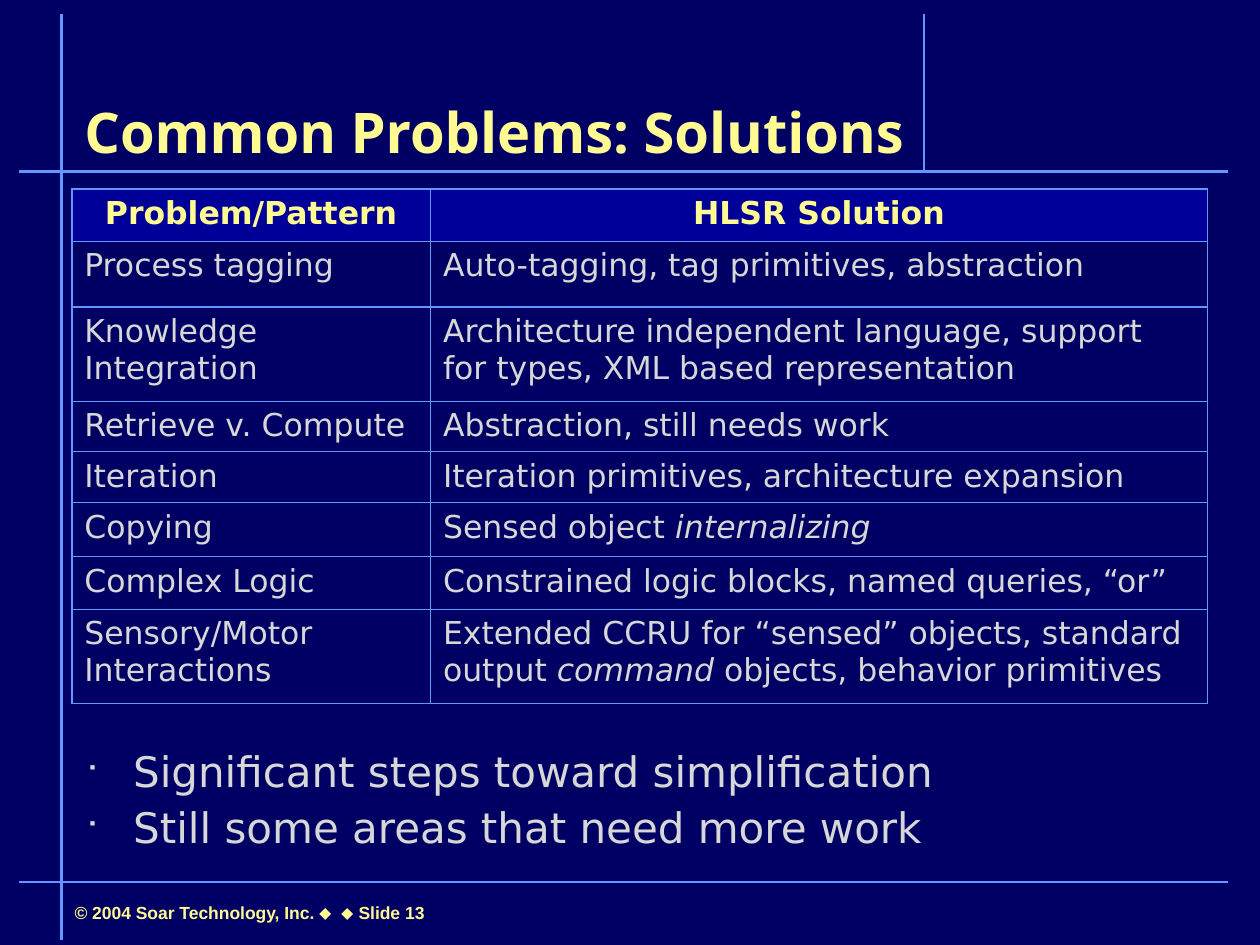
"""Build the slide on common problems and their solutions."""
from lxml import etree
from pptx import Presentation
from pptx import util as u
from pptx.dml.color import RGBColor
from pptx.enum import shapes, text
from pptx.oxml import parse_xml
from pptx.oxml.ns import nsdecls, qn

COLORS = {"back": "000064", "header": "000099", "line": "6496FF",
          "title": "FFFA91", "footer": "FEF992", "body": "D7D7D7"}
TITLE = "Common Problems: Solutions"
FOOTER = "© 2004 Soar Technology, Inc. ⬥  ⬥ Slide 13"
HEADER = ("Problem/Pattern", "HLSR Solution")
# Asterisks mark italic words.
ROWS = [
    ("Process tagging", "Auto-tagging, tag primitives, abstraction"),
    ("Knowledge Integration",
     "Architecture independent language, support for types, XML based representation"),
    ("Retrieve v. Compute", "Abstraction, still needs work"),
    ("Iteration", "Iteration primitives, architecture expansion"),
    ("Copying", "Sensed object *internalizing*"),
    ("Complex Logic", "Constrained logic blocks, named queries, “or”"),
    ("Sensory/Motor Interactions",
     "Extended CCRU for “sensed” objects, standard output *command* objects, "
     "behavior primitives"),
]
BULLETS = ["Significant steps toward simplification",
           "Still some areas that need more work"]
COL_WIDTHS = (205, 444)
ROW_HEIGHTS = (30, 37.5, 53.75, 29, 29, 31, 30, 53.75)
LEFT, RIGHT, TOP, BOTTOM = 11, 701.5, 8, 537
RULE_X, RULE_Y, CORNER_X, FOOT_Y = 35, 98, 528, 504
RULES = [(RULE_X, TOP, RULE_X, BOTTOM), (RIGHT, RULE_Y, LEFT, RULE_Y),
         (RIGHT, FOOT_Y, LEFT, FOOT_Y), (CORNER_X, TOP, CORNER_X, RULE_Y)]


def rgb(name):
    return RGBColor.from_string(COLORS[name])


def write(p, content, size, color="body", font="DejaVu Sans", bold=False,
          align=text.PP_ALIGN.LEFT):
    p.alignment = align
    for i, part in enumerate(content.split("*")):
        if part:
            r = p.add_run()
            r.text = part
            r.font.size, r.font.name = u.Pt(size), font
            r.font.bold, r.font.italic = bold, i % 2 == 1
            r.font.color.rgb = rgb(color)


def add_box(s, x, y, w, h):
    tf = s.shapes.add_textbox(*map(u.Pt, (x, y, w, h))).text_frame
    tf.word_wrap = True
    return tf


def add_rule(s, *ends):
    line = s.shapes.add_connector(shapes.MSO_CONNECTOR.STRAIGHT, *map(u.Pt, ends))
    line.line.color.rgb, line.line.width = rgb("line"), u.Pt(1.5)
    etree.SubElement(line._element.spPr, qn("a:effectLst"))


def add_borders(cell, widths):
    tc_pr = cell._tc.get_or_add_tcPr()
    for i, (side, width) in enumerate(zip("LRTB", widths)):
        tc_pr.insert(i, parse_xml(
            f'<a:ln{side} {nsdecls("a")} w="{u.Pt(width)}"><a:solidFill>'
            f'<a:srgbClr val="{COLORS["line"]}"/></a:solidFill></a:ln{side}>'))


def add_bullet(p):
    p_pr = p._p.get_or_add_pPr()
    p_pr.set("marL", str(u.Pt(27)))
    p_pr.set("indent", str(-u.Pt(27)))
    for xml in (f'<a:buClr {nsdecls("a")}><a:srgbClr val="{COLORS["body"]}"/></a:buClr>',
                f'<a:buSzPct {nsdecls("a")} val="70000"/>',
                f'<a:buFont {nsdecls("a")} typeface="Wingdings"/>',
                f'<a:buChar {nsdecls("a")} char="■"/>'):
        p_pr.append(parse_xml(xml))


def add_solutions(s):
    data = [HEADER] + ROWS
    table = s.shapes.add_table(
        len(data), len(HEADER), u.Pt(41), u.Pt(108),
        u.Pt(sum(COL_WIDTHS)), u.Pt(sum(ROW_HEIGHTS))).table
    for col, width in zip(table.columns, COL_WIDTHS):
        col.width = u.Pt(width)
    for i, (row, height) in enumerate(zip(data, ROW_HEIGHTS)):
        table.rows[i].height = u.Pt(height)
        for j, content in enumerate(row):
            cell = table.cell(i, j)
            p = cell.text_frame.paragraphs[0]
            if i == 0:
                cell.fill.solid()
                cell.fill.fore_color.rgb = rgb("header")
                write(p, content, 18, "title", bold=True, align=text.PP_ALIGN.CENTER)
            else:
                cell.fill.background()
                write(p, content, 18)
            outer = (j == 0, j == len(row) - 1, i == 0, i == len(data) - 1)
            add_borders(cell, [1.08 if edge else 0.75 for edge in outer])


def main():
    prs = Presentation()
    prs.slide_width, prs.slide_height = u.Pt(720), u.Pt(540)
    s = prs.slides.add_slide(prs.slide_layouts[5])
    s.background.fill.solid()
    s.background.fill.fore_color.rgb = rgb("back")

    write(add_box(s, 35.5, 512, 558, 19.5).paragraphs[0], FOOTER, 10,
          "footer", "Arial", bold=True)
    for ends in RULES:
        add_rule(s, *ends)

    title = s.shapes.title
    title.left, title.top, title.width, title.height = map(u.Pt, (41, 8, 486, 90))
    tf = title.text_frame
    tf.auto_size = text.MSO_AUTO_SIZE.NONE
    tf.vertical_anchor = text.MSO_ANCHOR.BOTTOM
    write(tf.paragraphs[0], TITLE, 32, "title", "Open Sans", bold=True)

    add_solutions(s)

    tf = add_box(s, 42, 426, 655, 72)
    for i, content in enumerate(BULLETS):
        p = tf.add_paragraph() if i else tf.paragraphs[0]
        add_bullet(p)
        p.line_spacing = 0.9
        if i:
            p.space_before = u.Pt(6)
        write(p, content, 24)
    prs.save("out.pptx")


if __name__ == "__main__":
    main()
